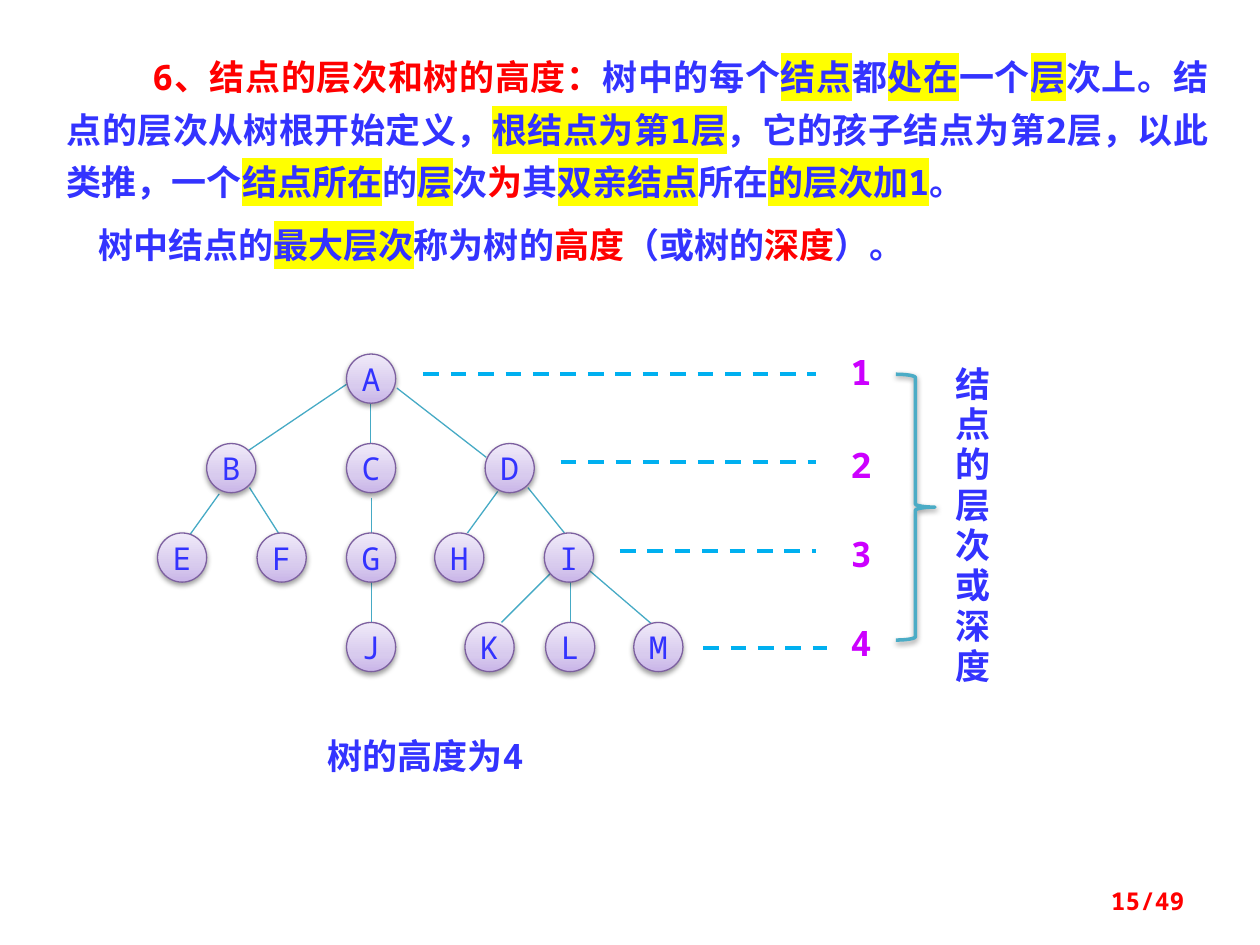
from dataclasses import dataclass
from lxml.etree import SubElement
from pptx import Presentation
from pptx.dml.color import RGBColor
from pptx.enum.dml import MSO_LINE as Dash
from pptx.enum.shapes import MSO_CONNECTOR as Conn, MSO_SHAPE as Form
from pptx.enum.text import MSO_ANCHOR as Anchor, MSO_AUTO_SIZE as Fit, PP_ALIGN as Align
from pptx.oxml.ns import qn
from pptx.util import Inches, Pt


@dataclass(frozen=True)
class Theme:
    font: str = "Noto Sans Mono"
    blue: str = "3333FF"
    red: str = "FF0000"
    mark: str = "FFFF00"
    level: str = "CC00FF"
    edge: str = "46AAC5"
    guide: str = "00B0F0"
    brace: str = "4BACC6"
    rim: str = "7D60A0"
    glow: tuple = ((0, "C9B5E8"), (35, "D8CBEE"), (100, "F0EAF9"))
    text: int = 20
    node: int = 18
    page: int = 14


@dataclass(frozen=True)
class Box:
    x: float
    y: float
    w: float
    h: float

    def sub(self, x, y, w, h):
        return Box(self.x + x, self.y + y, w, h)

    def emu(self):
        return [Inches(v) for v in (self.x, self.y, self.w, self.h)]


T = Theme()
SIDE = 0.39
ROW = 0.71

# Each run is its text and its style: plain, mark (highlighted) or red.
TERMS = [
    (0.68, [
        ("6、结点的层次和树的高度：", "red"), ("树中的每个", "plain"), ("结点", "mark"),
        ("都", "plain"), ("处在", "mark"), ("一个", "plain"), ("层", "mark"),
        ("次上。结点的层次从树根开始定义，", "plain"), ("根结点为第1层", "mark"),
        ("，它的孩子结点为第2层，以此类推，一个", "plain"), ("结点所在", "mark"),
        ("的", "plain"), ("层", "mark"), ("次", "plain"), ("为", "red"),
        ("其", "plain"), ("双亲结点", "mark"), ("所在", "plain"),
        ("的层次加1", "mark"), ("。", "plain")]),
    (0.25, [
        ("树中结点的", "plain"), ("最大层次", "mark"), ("称为树的", "plain"),
        ("高度", "red"), ("（或树的", "plain"), ("深度", "red"), ("）。", "plain")]),
]
# Node name and left offset, one list for each level of the tree.
NODES = [
    [("A", 1.5)],
    [("B", 0.39), ("C", 1.5), ("D", 2.6)],
    [("E", 0), ("F", 0.79), ("G", 1.5), ("H", 2.2), ("I", 3.07)],
    [("J", 1.5), ("K", 2.44), ("L", 3.08), ("M", 3.78)],
]
EDGES = [
    (1.5, 0.24, 0.7, 0.78), (1.69, 0.4, 1.69, 0.71), (1.9, 0.27, 2.61, 0.82),
    (0.49, 1.11, 0.26, 1.43), (0.73, 1.06, 0.96, 1.42), (1.7, 1.14, 1.7, 1.42),
    (2.7, 1.09, 2.46, 1.42), (2.94, 1.06, 3.23, 1.42), (1.7, 1.81, 1.7, 2.13),
    (3.12, 1.74, 2.73, 2.13), (3.28, 1.81, 3.28, 2.13), (3.43, 1.72, 3.92, 2.14),
]
# Label top, then start, end and height of the dashed guide.
LEVELS = [
    (0, 0, 3.12, 0.24), (0.74, 1.09, 3.12, 0.94),
    (1.45, 1.56, 3.12, 1.64), (2.15, 2.22, 3.2, 2.41),
]


def rgb(code):
    return RGBColor.from_string(code)


def add_run(para, text, color, size, bold=True, mark=None):
    run = para.add_run()
    run.text = text
    font = run.font
    font.name, font.size, font.bold = T.font, Pt(size), bold
    font.color.rgb = rgb(color)
    props = run._r.get_or_add_rPr()
    latin = props.find(qn("a:latin"))
    if mark:
        light = SubElement(props, qn("a:highlight"))
        SubElement(light, qn("a:srgbClr"), val=mark)
        latin.addprevious(light)
    east = SubElement(props, qn("a:ea"), typeface=T.font)
    latin.addnext(east)
    return run


def add_label(slide, box, text, color, size=T.text, align=Align.LEFT):
    frame = slide.shapes.add_textbox(*box.emu()).text_frame
    frame.word_wrap = True
    para = frame.paragraphs[0]
    para.alignment = align
    return frame, add_run(para, text, color, size)


def add_line(slide, box, ends, color, width, dash=None):
    """Draw a line between two points given relative to the box."""
    x1, y1, x2, y2 = ends
    points = (box.x + x1, box.y + y1, box.x + x2, box.y + y2)
    line = slide.shapes.add_connector(Conn.STRAIGHT, *map(Inches, points))
    line.line.color.rgb = rgb(color)
    line.line.width = Pt(width)
    if dash:
        line.line.dash_style = dash
    SubElement(line._element.spPr, qn("a:effectLst"))


def add_shade(shape):
    """Give the shape a soft shadow straight below it."""
    shape.shadow.inherit = False
    effects = shape._element.spPr.find(qn("a:effectLst"))
    outer = SubElement(effects, qn("a:outerShdw"), blurRad=str(Pt(3.1)),
                       dist=str(Pt(1.6)), dir="5400000", rotWithShape="0")
    color = SubElement(outer, qn("a:srgbClr"), val="000000")
    SubElement(color, qn("a:alpha"), val="38000")


def add_node(slide, box, name):
    node = slide.shapes.add_shape(Form.OVAL, *box.emu())
    node.fill.gradient()
    node.fill.gradient_angle = 90
    stops = node._element.spPr.find(qn("a:gradFill")).find(qn("a:gsLst"))
    for stop in list(stops):
        stops.remove(stop)
    for place, code in T.glow:
        stop = SubElement(stops, qn("a:gs"), pos=str(place * 1000))
        SubElement(stop, qn("a:srgbClr"), val=code)
    node.line.color.rgb = rgb(T.rim)
    node.line.width = Pt(0.75)
    add_shade(node)
    frame = node.text_frame
    frame.word_wrap = False
    frame.vertical_anchor = Anchor.MIDDLE
    para = frame.paragraphs[0]
    para.alignment = Align.CENTER
    add_run(para, name, T.blue, T.node, bold=False)


def add_terms(slide, box):
    body = slide.placeholders[1]
    body.left, body.top, body.width, body.height = box.emu()
    frame = body.text_frame
    frame.auto_size = Fit.NONE
    for i, (indent, runs) in enumerate(TERMS):
        para = frame.add_paragraph() if i else frame.paragraphs[0]
        props = para._p.get_or_add_pPr()
        props.set("marL", "0")
        props.set("indent", str(Inches(indent)))
        SubElement(props, qn("a:buNone"))
        para.alignment = Align.JUSTIFY
        para.line_spacing = Pt(30)
        para.space_before = Pt(6 if i else 0)
        for text, style in runs:
            add_run(para, text, T.red if style == "red" else T.blue, T.text,
                    mark=T.mark if style == "mark" else None)


def add_tree(slide, box):
    for ends in EDGES:
        add_line(slide, box, ends, T.edge, 0.75)
    for depth, row in enumerate(NODES):
        for name, x in row:
            add_node(slide, box.sub(x, depth * ROW, SIDE, SIDE), name)


def add_levels(slide, box):
    for level, (top, start, end, y) in enumerate(LEVELS, 1):
        add_label(slide, box.sub(3.28, top, 0.39, 0.43), str(level), T.level,
                  align=Align.CENTER)
        add_line(slide, box, (start, y, end, y), T.guide, 2.25, Dash.DASH)


def add_depth(slide, box):
    """Place the brace over all levels and the vertical caption beside it."""
    brace = slide.shapes.add_shape(Form.RIGHT_BRACE, *box.sub(0, 0.16, 0.31, 2.11).emu())
    brace.fill.background()
    brace.line.color.rgb = rgb(T.brace)
    brace.line.width = Pt(2)
    add_shade(brace)
    frame, run = add_label(slide, box.sub(0.28, 0, 0.54, 2.73), "结点的层次或深度", T.blue)
    frame._txBody.bodyPr.set("vert", "eaVert")
    run._r.rPr.set("spc", "300")


def main():
    deck = Presentation()
    deck.slide_width, deck.slide_height = Inches(10), Inches(7.5)
    slide = deck.slides.add_slide(deck.slide_layouts[1])
    title = slide.shapes.title._element
    title.getparent().remove(title)
    add_terms(slide, Box(0.43, 0.31, 9.26, 1.87))
    add_tree(slide, Box(1.25, 2.81, 4.17, 2.52))
    add_levels(slide, Box(3.36, 2.73, 3.67, 2.58))
    add_depth(slide, Box(7.11, 2.81, 0.82, 2.73))
    add_label(slide, Box(2.5, 5.78, 2.03, 0.44), "树的高度为4", T.blue)
    page, _ = add_label(slide, Box(7.17, 6.95, 2.33, 0.4), "15/49", T.red, T.page, Align.RIGHT)
    page.vertical_anchor = Anchor.MIDDLE
    deck.save("out.pptx")


if __name__ == "__main__":
    main()
